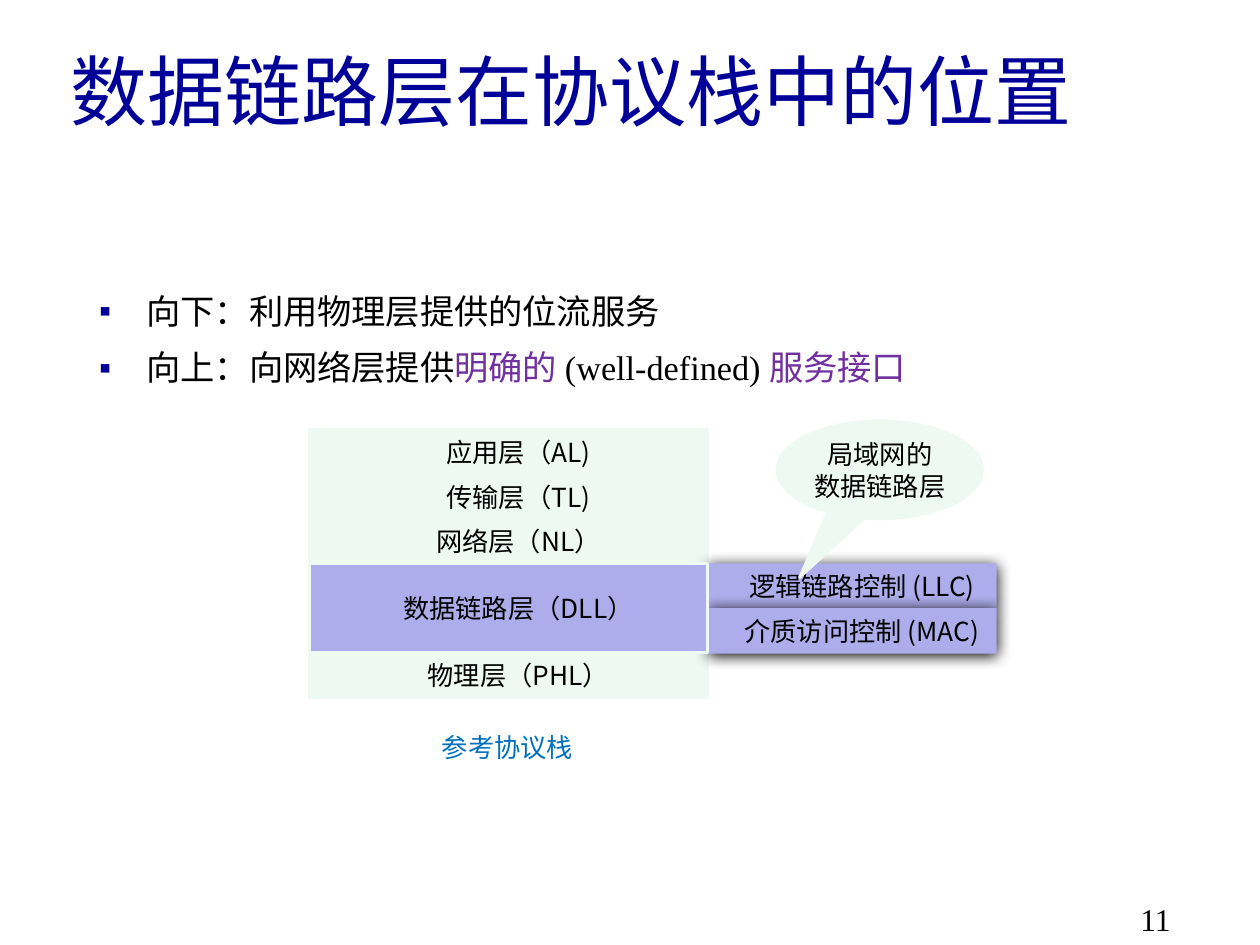
"""Build a slide on where the data link layer sits in the protocol stack."""
from lxml import etree
from pptx import Presentation
from pptx.dml.color import RGBColor
from pptx.enum.shapes import MSO_SHAPE
from pptx.enum.text import MSO_ANCHOR, MSO_AUTO_SIZE, PP_ALIGN
from pptx.oxml.ns import qn
from pptx.util import Pt

RECTANGLE, CALLOUT = MSO_SHAPE.RECTANGLE, MSO_SHAPE.OVAL_CALLOUT
LEFT, CENTER = PP_ALIGN.LEFT, PP_ALIGN.CENTER
TOP, MIDDLE = MSO_ANCHOR.TOP, MSO_ANCHOR.MIDDLE
NO_FIT = MSO_AUTO_SIZE.NONE

COLORS = {
    "navy": "000099",
    "black": "000000",
    "purple": "7030A0",
    "blue": "0070C0",
    "mint": "EEF9F4",
    "lavender": "ADADEB",
}
SANS, SERIF = "Noto Sans CJK SC", "Times New Roman"


def color(name):
    return RGBColor.from_string(COLORS[name])


def add_span(para, text, size=15, font=SANS, ink="black"):
    span = para.add_run()
    span.text = text
    span.font.size = Pt(size)
    span.font.name = font
    span.font.color.rgb = color(ink)
    east_asian = etree.SubElement(span.font._element, qn("a:ea"))
    east_asian.set("typeface", SANS)


class SlideBuilder:
    def __init__(self, deck):
        self.page = deck.slides.add_slide(deck.slide_layouts[1])

    def place(self, shape, left, top, width, height):
        shape.left, shape.top = Pt(left), Pt(top)
        shape.width, shape.height = Pt(width), Pt(height)

    def title(self, text, *bounds):
        holder = self.page.shapes.title
        self.place(holder, *bounds)
        frame = holder.text_frame
        frame.auto_size, frame.vertical_anchor = NO_FIT, MIDDLE
        para = frame.paragraphs[0]
        para.alignment = LEFT
        add_span(para, text, size=44, ink="navy")

    def bullets(self, items, *bounds):
        holder = self.page.placeholders[1]
        self.place(holder, *bounds)
        frame = holder.text_frame
        frame.auto_size, frame.vertical_anchor = NO_FIT, TOP
        for index, spans in enumerate(items):
            para = frame.add_paragraph() if index else frame.paragraphs[0]
            properties = para._p.get_or_add_pPr()
            properties.set("marL", str(Pt(27)))
            properties.set("indent", str(-Pt(27)))
            bullet_color = etree.SubElement(properties, qn("a:buClr"))
            etree.SubElement(bullet_color, qn("a:srgbClr")).set("val", COLORS["navy"])
            etree.SubElement(properties, qn("a:buChar")).set("char", "▪")
            para.line_spacing = Pt(28.5)
            para.space_before = Pt(4 if index else 0)
            for text, ink in spans:
                add_span(para, text, size=19.6, font=SERIF, ink=ink)

    def label(self, text, *bounds, align=LEFT, **style):
        box = self.page.shapes.add_textbox(*map(Pt, bounds))
        box.text_frame.word_wrap = True
        para = box.text_frame.paragraphs[0]
        para.alignment = align
        add_span(para, text, **style)

    def block(self, lines, *bounds, kind=RECTANGLE, fill="mint", outlined=True, indent=11):
        shape = self.page.shapes.add_shape(kind, *map(Pt, bounds))
        shape.shadow.inherit = False
        shape.fill.solid()
        shape.fill.fore_color.rgb = color(fill)
        if outlined:
            shape.line.color.rgb = color("mint")
            shape.line.width = Pt(1.5)
        else:
            shape.line.fill.background()
        frame = shape.text_frame
        frame.word_wrap, frame.vertical_anchor = False, MIDDLE
        frame.margin_left = frame.margin_right = 0
        frame.margin_top = frame.margin_bottom = 0
        for index, text in enumerate(lines):
            para = frame.add_paragraph() if index else frame.paragraphs[0]
            para.alignment = CENTER
            para._p.get_or_add_pPr().set("marL", str(Pt(indent)))
            add_span(para, text)
        return shape

    def cast_shadow(self, shape):
        effects = shape._element.spPr.find(qn("a:effectLst"))
        shadow = etree.SubElement(effects, qn("a:outerShdw"))
        settings = {"blurRad": Pt(8.5), "dist": Pt(1), "dir": 90 * 60000,
                    "algn": "t", "rotWithShape": 0}
        for name, value in settings.items():
            shadow.set(name, str(value))
        etree.SubElement(shadow, qn("a:srgbClr")).set("val", COLORS["black"])


def main():
    deck = Presentation()
    deck.slide_width, deck.slide_height = Pt(720), Pt(540)
    slide = SlideBuilder(deck)

    slide.title("数据链路层在协议栈中的位置", 33, 6, 630, 90)
    slide.bullets([
        [("向下：利用物理层提供的位流服务", "black")],
        [("向上：向网络层提供", "black"), ("明确的 ", "purple"),
         ("(well-defined) ", "black"), ("服务接口", "purple")],
    ], 49.5, 157, 621, 70.5)
    slide.label("11", 644.5, 510.5, 53, 36, size=18, font=SERIF)

    left, top, width, row = 177, 245.5, 227.5, 25.5
    layers = {0: "应用层（AL)", 1: "传输层（TL)", 2: "网络层（NL）", 5: "物理层（PHL）"}
    for level, name in layers.items():
        slide.block([name], left, top + level * row, width, row)
    slide.label("参考协议栈", 204, 414.5, 172, 25.5, align=CENTER, ink="blue")

    for level, name in enumerate(["逻辑链路控制 (LLC)", "介质访问控制 (MAC)"], start=3):
        sublayer = slide.block([name], left + width, top + level * row, 165, 26,
                               fill="lavender", outlined=False)
        slide.cast_shadow(sublayer)
    slide.block(["数据链路层（DLL）"], left, top + 3 * row, width, 2 * row, fill="lavender")

    callout = slide.block(["局域网的", "数据链路层"], 444, 240.5, 117.5, 56,
                          kind=CALLOUT, indent=0)
    callout.adjustments[0], callout.adjustments[1] = -0.39, 1.1
    deck.save("out.pptx")


if __name__ == "__main__":
    main()
